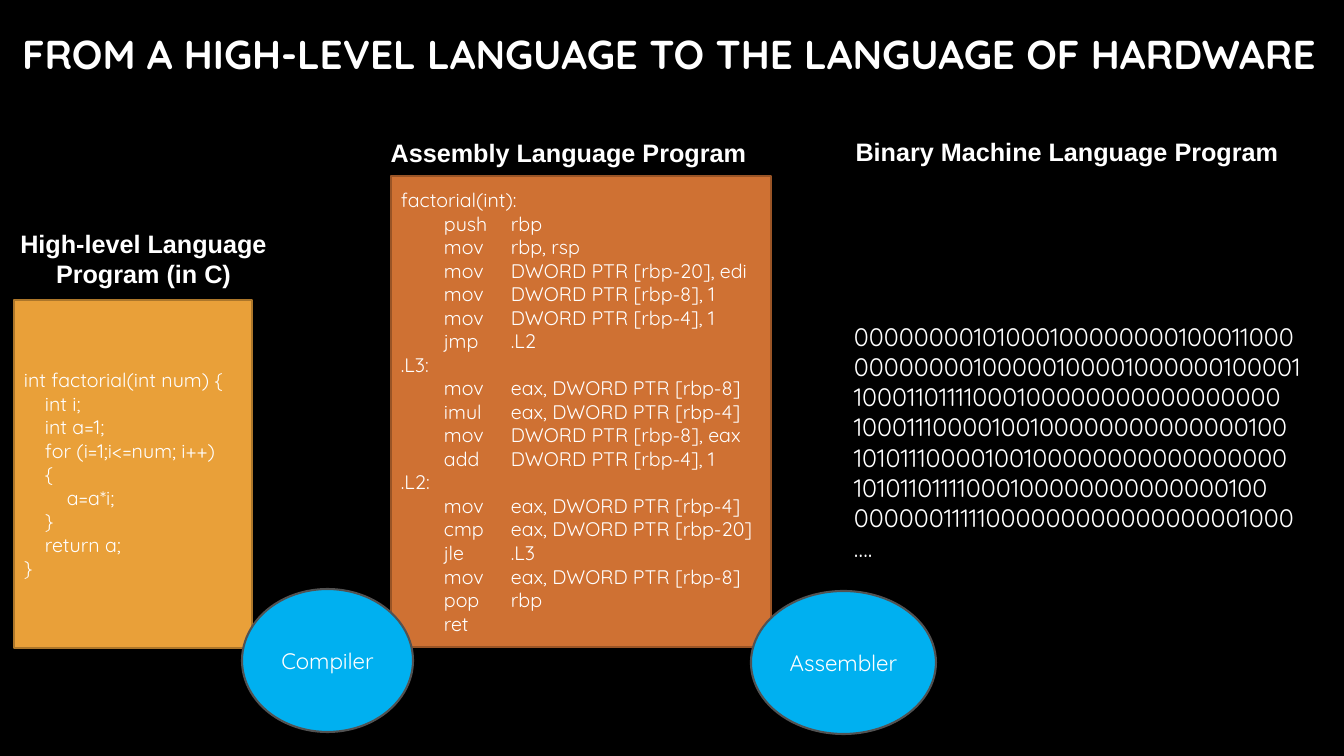
import dataclasses

import lxml.etree
import pptx
import pptx.dml.color
import pptx.enum.shapes
import pptx.enum.text
import pptx.oxml.ns
import pptx.presentation
import pptx.shapes.autoshape
import pptx.slide
import pptx.text.text
import pptx.util

RGB = pptx.dml.color.RGBColor
KIND = pptx.enum.shapes.MSO_SHAPE
ALIGN = pptx.enum.text.PP_ALIGN
ANCHOR = pptx.enum.text.MSO_ANCHOR

WHITE = RGB(0xFF, 0xFF, 0xFF)
BLACK = RGB(0x00, 0x00, 0x00)
AMBER = RGB(0xE9, 0xA0, 0x39)
BROWN = RGB(0xAC, 0x76, 0x2A)
RUST = RGB(0xCF, 0x71, 0x33)
UMBER = RGB(0x99, 0x54, 0x26)
BLUE = RGB(0x00, 0xB0, 0xF0)
GREY = RGB(0x52, 0x52, 0x52)

WIDTH, HEIGHT = 1344, 756
SCALE = 12192000 / WIDTH

SOURCE = """int factorial(int num) {
\tint i;
\tint a=1;
\tfor (i=1;i<=num; i++)
\t{
\t\ta=a*i;
\t}
\treturn a;
}"""

ASSEMBLY = """factorial(int):
\tpush\trbp
\tmov\trbp, rsp
\tmov\tDWORD PTR [rbp-20], edi
\tmov\tDWORD PTR [rbp-8], 1
\tmov\tDWORD PTR [rbp-4], 1
\tjmp\t.L2
.L3:
\tmov\teax, DWORD PTR [rbp-8]
\timul\teax, DWORD PTR [rbp-4]
\tmov\tDWORD PTR [rbp-8], eax
\tadd\tDWORD PTR [rbp-4], 1
.L2:
\tmov\teax, DWORD PTR [rbp-4]
\tcmp\teax, DWORD PTR [rbp-20]
\tjle\t.L3
\tmov\teax, DWORD PTR [rbp-8]
\tpop\trbp
\tret"""

BINARY = """00000000101000100000000100011000
00000000100000100001000000100001
10001101111000100000000000000000
10001110000100100000000000000100
10101110000100100000000000000000
10101101111000100000000000000100
00000011111000000000000000001000
…."""


@dataclasses.dataclass(frozen=True)
class Box:
    left: int
    top: int
    width: int
    height: int


@dataclasses.dataclass(frozen=True)
class Style:
    size: float
    face: str = "Quicksand"
    bold: bool = False
    align: ALIGN = ALIGN.LEFT
    stops: tuple[int, ...] = ()


@dataclasses.dataclass(frozen=True)
class Panel:
    box: Box
    text: str
    style: Style
    fill: RGB
    line: RGB
    kind: KIND = KIND.RECTANGLE


@dataclasses.dataclass(frozen=True)
class Label:
    box: Box
    text: str


HEAD = Style(28.8, bold=True)
CAPTION = Style(18, "Arial", True, ALIGN.CENTER)
TOOL = Style(16, align=ALIGN.CENTER)

PANELS = (
    Panel(Box(14, 300, 238, 348), SOURCE, Style(14, stops=(21, 43)), AMBER, BROWN),
    Panel(Box(391, 176, 380, 471), ASSEMBLY, Style(14, stops=(43, 110)), RUST, UMBER),
    Panel(Box(844, 258, 487, 368), BINARY, Style(18), BLACK, BLACK),
)

LABELS = (
    Label(Box(-12, 223, 311, 72), "High-level Language\nProgram (in C)"),
    Label(Box(373, 132, 391, 40), "Assembly Language Program"),
    Label(Box(828, 131, 478, 40), "Binary Machine Language Program"),
)

TOOLS = (
    Panel(Box(242, 589, 171, 143), "Compiler", TOOL, BLUE, GREY, KIND.OVAL),
    Panel(Box(751, 591, 185, 143), "Assembler", TOOL, BLUE, GREY, KIND.OVAL),
)


def px(count: int) -> pptx.util.Emu:
    return pptx.util.Emu(round(count * SCALE))


def place(box: Box) -> tuple[pptx.util.Emu, ...]:
    return tuple(px(side) for side in dataclasses.astuple(box))


def add_stops(para: pptx.text.text._Paragraph, stops: tuple[int, ...]) -> None:
    tabs = lxml.etree.Element(pptx.oxml.ns.qn("a:tabLst"))
    for stop in stops:
        tab = lxml.etree.SubElement(tabs, pptx.oxml.ns.qn("a:tab"))
        tab.set("pos", str(px(stop)))
        tab.set("algn", "l")
    para._p.get_or_add_pPr().insert(0, tabs)


def write(frame: pptx.text.text.TextFrame, text: str, style: Style, anchor: ANCHOR) -> None:
    frame.text = text
    frame.word_wrap = True
    frame.auto_size = pptx.enum.text.MSO_AUTO_SIZE.NONE
    frame.vertical_anchor = anchor
    for para in frame.paragraphs:
        if style.stops:
            add_stops(para, style.stops)
        para.alignment = style.align
        para.font.name = style.face
        para.font.size = pptx.util.Pt(style.size)
        para.font.bold = style.bold
        para.font.color.rgb = WHITE


def draw_panel(slide: pptx.slide.Slide, panel: Panel) -> None:
    shape = slide.shapes.add_shape(panel.kind, *place(panel.box))
    shape.shadow.inherit = False
    shape.fill.solid()
    shape.fill.fore_color.rgb = panel.fill
    shape.line.color.rgb = panel.line
    shape.line.width = pptx.util.Pt(1.5)
    write(shape.text_frame, panel.text, panel.style, ANCHOR.MIDDLE)


def draw_label(slide: pptx.slide.Slide, label: Label) -> None:
    shape = slide.shapes.add_textbox(*place(label.box))
    write(shape.text_frame, label.text, CAPTION, ANCHOR.TOP)


def draw_title(slide: pptx.slide.Slide) -> None:
    title = slide.shapes.title
    title.left, title.top, title.width, title.height = place(Box(12, 12, 1318, 82))
    text = "FROM A HIGH-LEVEL LANGUAGE TO THE LANGUAGE OF HARDWARE"
    write(title.text_frame, text, HEAD, ANCHOR.MIDDLE)


def main() -> None:
    deck = pptx.Presentation()
    deck.slide_width, deck.slide_height = px(WIDTH), px(HEIGHT)
    slide = deck.slides.add_slide(deck.slide_layouts.get_by_name("Title Only"))
    slide.background.fill.solid()
    slide.background.fill.fore_color.rgb = BLACK
    draw_title(slide)
    for panel in PANELS:
        draw_panel(slide, panel)
    for label in LABELS:
        draw_label(slide, label)
    for tool in TOOLS:
        draw_panel(slide, tool)
    deck.save("out.pptx")


if __name__ == "__main__":
    main()
